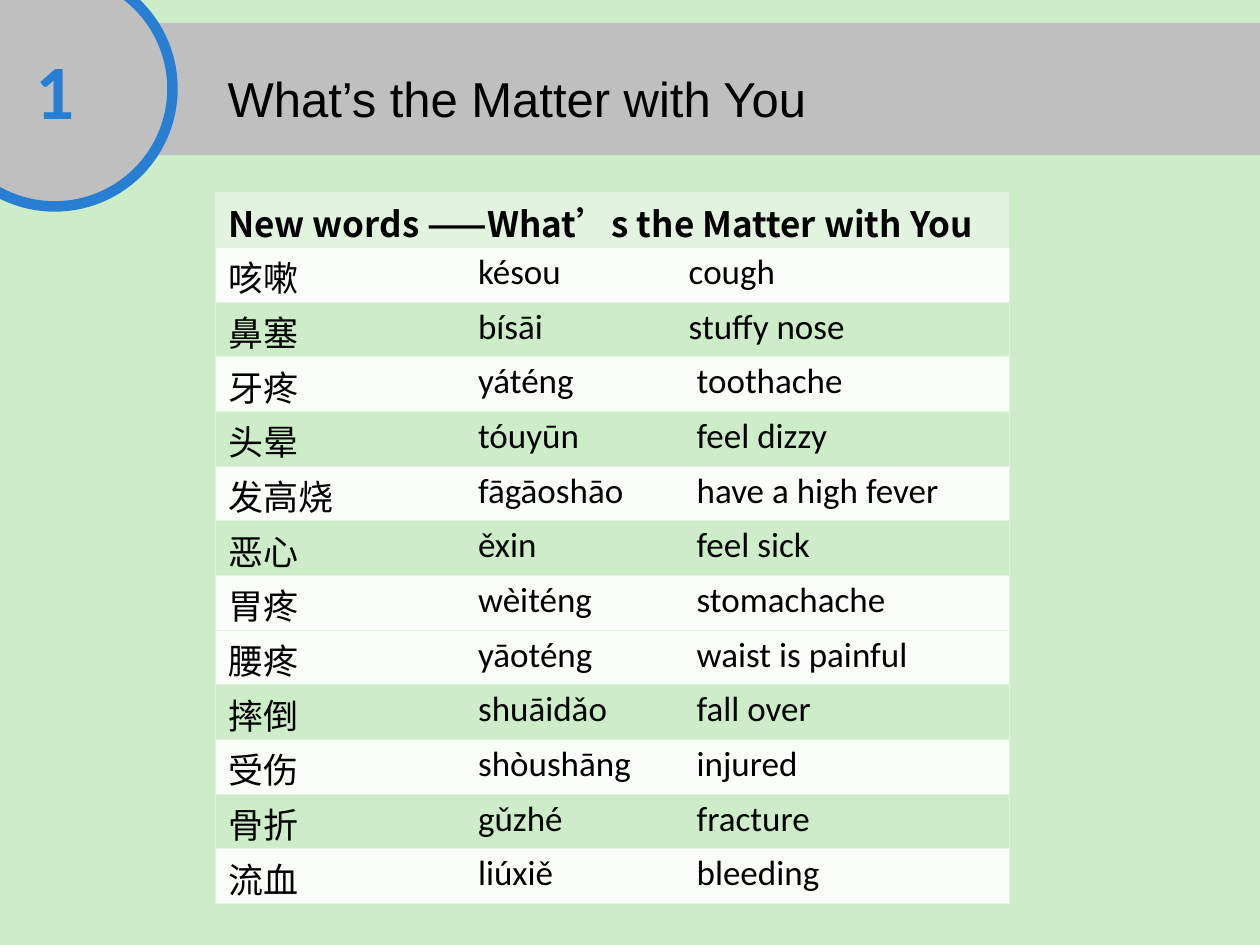
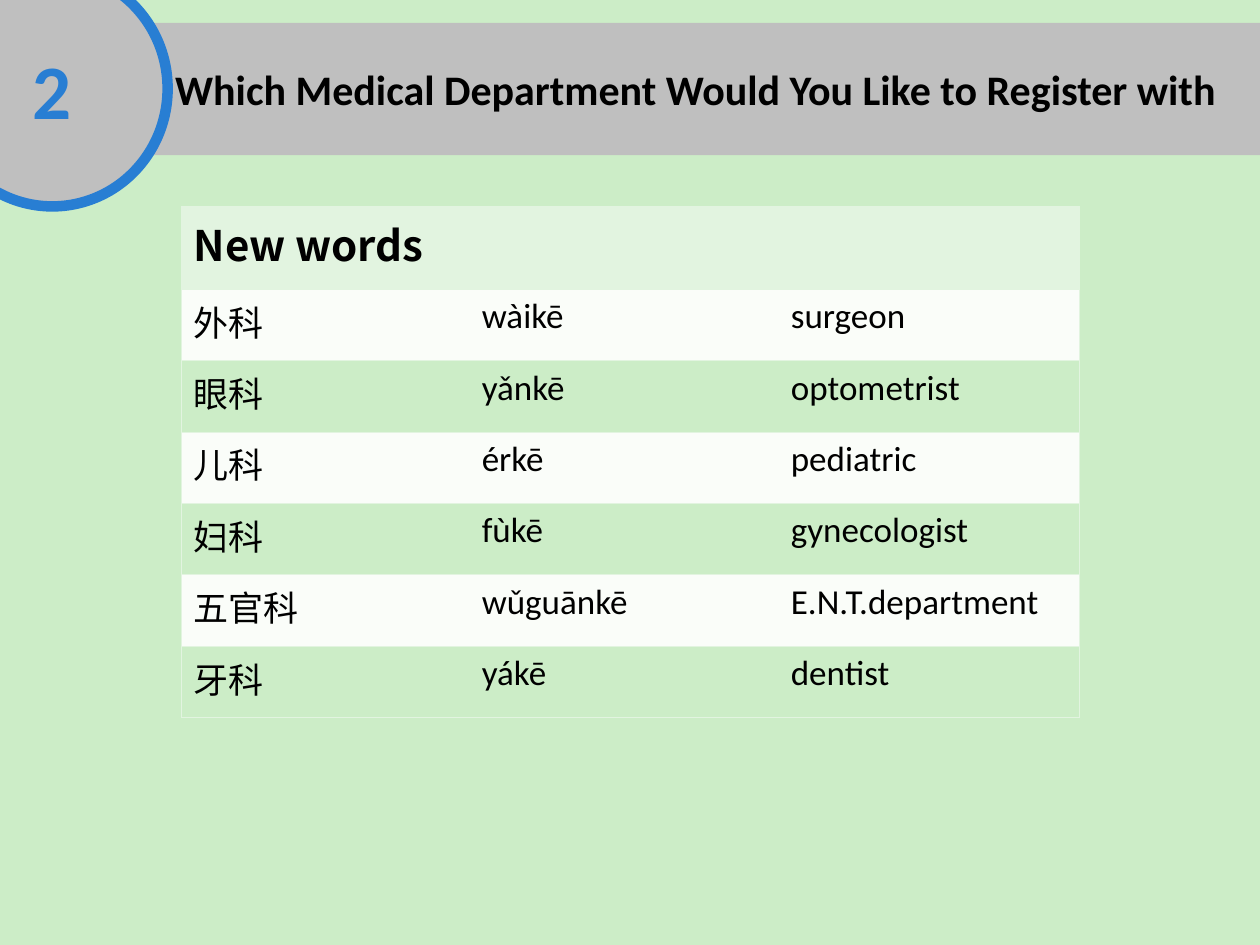
from lxml.etree import SubElement
from pptx import Presentation
from pptx.dml.color import RGBColor
from pptx.enum.shapes import MSO_SHAPE as SHAPE
from pptx.enum.text import MSO_ANCHOR as ANCHOR, PP_ALIGN as ALIGN
from pptx.oxml.ns import qn
from pptx.util import Pt

GREEN = RGBColor(0xCC, 0xED, 0xC7)
PALE = RGBColor(0xE2, 0xF4, 0xE0)
NEAR_WHITE = RGBColor(0xFA, 0xFD, 0xF9)
GREY = RGBColor(0xBF, 0xBF, 0xBF)
BLUE = RGBColor(0x28, 0x7E, 0xD3)
BLACK = RGBColor(0, 0, 0)
LATIN, CJK, PLAIN = "Calibri", "Noto Sans CJK SC", "Arial"

SLIDE_W, SLIDE_H = 720, 540
BAND_TOP, BAND_H = 13, 75.6
CIRCLE_LEFT, CIRCLE_TOP, CIRCLE_H = -36, -16.6, 134.6

# Row colours alternate within each group of words and start afresh in the next.
LESSONS = [
    dict(
        number="1", title="What’s the Matter with You",
        band_left=62, circle_w=134.6, title_box=(123, 35.5, 461, 41),
        heading="New words ——What’s the Matter with You",
        heading_size=20, heading_span=3,
        table_at=(123.2, 110), columns=(142.8, 120.4, 190.2),
        heading_h=31.3, row_h=31.25, cell_margins=(2.25, 0),
        groups=[
            [("咳嗽", "késou", "cough"),
             ("鼻塞", "bísāi", "stuffy nose"),
             ("牙疼", "yáténg", " toothache"),
             ("头晕", "tóuyūn", " feel dizzy"),
             ("发高烧", "fāgāoshāo", " have a high fever"),
             ("恶心", "ěxin", " feel sick"),
             ("胃疼", "wèiténg", " stomachache")],
            [("腰疼", "yāoténg", " waist is painful"),
             ("摔倒", "shuāidǎo", " fall over"),
             ("受伤", "shòushāng", " injured"),
             ("骨折", "gǔzhé", " fracture"),
             ("流血", "liúxiě", " bleeding")],
        ],
    ),
    dict(
        number="2", title="Which Medical Department Would You Like to Register with",
        band_left=75, circle_w=131.8, title_box=None,
        heading="New words", heading_size=24, heading_span=2,
        table_at=(103.6, 118), columns=(160, 176.6, 176.6),
        heading_h=47.2, row_h=40.8, cell_margins=(3.6, 3.6),
        groups=[
            [("外科", " wàikē", " surgeon"),
             ("眼科", " yǎnkē", " optometrist"),
             ("儿科", " érkē", " pediatric"),
             ("妇科", " fùkē", " gynecologist"),
             ("五官科", " wǔguānkē", " E.N.T.department"),
             ("牙科", " yákē", " dentist")],
        ],
    ),
]


def write(tf, text, size, font=LATIN, color=BLACK, bold=False, align=ALIGN.LEFT):
    p = tf.paragraphs[0]
    p.alignment = align
    r = p.add_run()
    r.text = text
    r.font.name, r.font.size, r.font.bold = font, Pt(size), bold
    r.font.color.rgb = color
    SubElement(r.font._element, qn("a:ea"), typeface=CJK)


def add_grey_shape(s, kind, left, top, width, height):
    sp = s.shapes.add_shape(kind, Pt(left), Pt(top), Pt(width), Pt(height))
    sp.shadow.inherit = False
    sp.fill.solid()
    sp.fill.fore_color.rgb = GREY
    sp.line.fill.background()
    sp.text_frame.vertical_anchor = ANCHOR.MIDDLE
    return sp


def add_header(s, lesson):
    left = lesson["band_left"]
    band = add_grey_shape(s, SHAPE.RECTANGLE, left, BAND_TOP, SLIDE_W - left, BAND_H)
    circle = add_grey_shape(s, SHAPE.OVAL, CIRCLE_LEFT, CIRCLE_TOP,
                            lesson["circle_w"], CIRCLE_H)
    circle.line.color.rgb = BLUE
    circle.line.width = Pt(6)
    write(circle.text_frame, lesson["number"], 44, color=BLUE, bold=True,
          align=ALIGN.CENTER)
    if lesson["title_box"]:
        box = s.shapes.add_textbox(*map(Pt, lesson["title_box"]))
        box.text_frame.word_wrap = True
        write(box.text_frame, lesson["title"], 28, PLAIN)
    else:
        write(band.text_frame, lesson["title"], 24, bold=True, align=ALIGN.CENTER)


def style_cell(cell, color, first, last):
    """Rule the cell above and below, and at the table's outer edges."""
    tc_pr = cell._tc.get_or_add_tcPr()
    for side, ruled in (("L", first), ("R", last), ("T", True), ("B", True)):
        ln = SubElement(tc_pr, qn(f"a:ln{side}"), w=str(Pt(0.45)))
        if ruled:
            fill = SubElement(ln, qn("a:solidFill"))
            SubElement(fill, qn("a:srgbClr"), val=str(PALE))
        else:
            SubElement(ln, qn("a:noFill"))
    cell.fill.solid()
    cell.fill.fore_color.rgb = color


def add_word_table(s, lesson):
    rows = [(words, (NEAR_WHITE, GREEN)[i % 2])
            for group in lesson["groups"] for i, words in enumerate(group)]
    columns = lesson["columns"]
    heights = [lesson["heading_h"]] + [lesson["row_h"]] * len(rows)
    table = s.shapes.add_table(len(heights), len(columns),
                               *map(Pt, lesson["table_at"]),
                               Pt(sum(columns)), Pt(sum(heights))).table
    table.first_row = table.horz_banding = False
    for column, width in zip(table.columns, columns):
        column.width = Pt(width)
    for row, height in zip(table.rows, heights):
        row.height = Pt(height)

    top, bottom = lesson["cell_margins"]
    colors = [PALE] + [color for _, color in rows]
    for row, color in zip(table.rows, colors):
        for i, cell in enumerate(row.cells):
            cell.margin_top, cell.margin_bottom = Pt(top), Pt(bottom)
            style_cell(cell, color, i == 0, i == len(columns) - 1)

    heading = table.cell(0, 0)
    heading.merge(table.cell(0, lesson["heading_span"] - 1))
    write(heading.text_frame, lesson["heading"], lesson["heading_size"], CJK, bold=True)
    for i, (words, _) in enumerate(rows, start=1):
        for j, word in enumerate(words):
            write(table.cell(i, j).text_frame, word, 20)


def main():
    prs = Presentation()
    prs.slide_width, prs.slide_height = Pt(SLIDE_W), Pt(SLIDE_H)
    for lesson in LESSONS:
        s = prs.slides.add_slide(prs.slide_layouts[6])
        s.background.fill.solid()
        s.background.fill.fore_color.rgb = GREEN
        add_header(s, lesson)
        add_word_table(s, lesson)
    prs.save("out.pptx")


if __name__ == "__main__":
    main()
